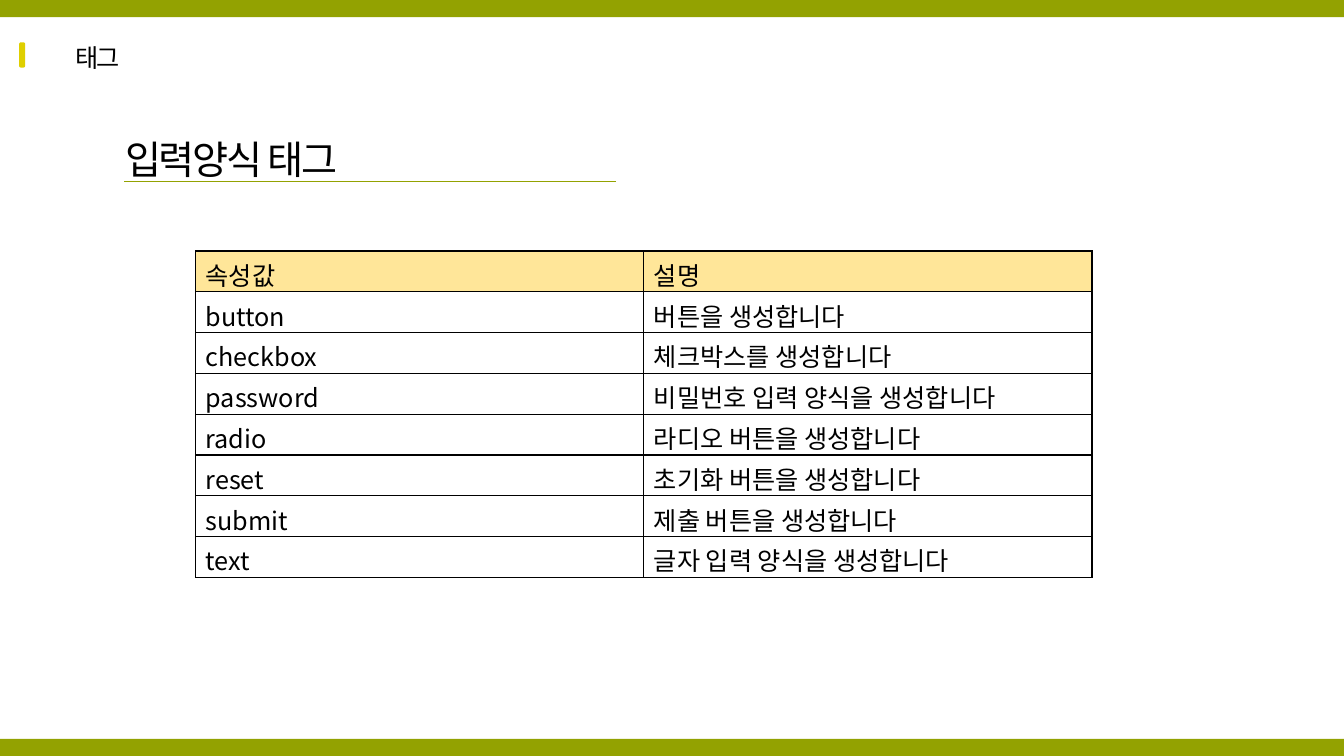
from lxml import etree
from pptx import Presentation
from pptx.dml.color import RGBColor
from pptx.enum.shapes import MSO_CONNECTOR, MSO_SHAPE
from pptx.enum.text import MSO_ANCHOR, MSO_AUTO_SIZE, PP_ALIGN
from pptx.oxml.ns import qn
from pptx.util import Inches, Pt

RECTANGLE, ROUNDED = MSO_SHAPE.RECTANGLE, MSO_SHAPE.ROUNDED_RECTANGLE
STRAIGHT = MSO_CONNECTOR.STRAIGHT
TOP, NO_RESIZE = MSO_ANCHOR.TOP, MSO_AUTO_SIZE.NONE
LEFT, CENTER = PP_ALIGN.LEFT, PP_ALIGN.CENTER
TITLE_ONLY = 5

PAGE_WIDTH, PAGE_HEIGHT, BAR_HEIGHT = 13.33, 7.5, 0.17
OLIVE, YELLOW, CREAM = "93A201", "DFCF00", "FFE699"
WHITE, BLACK = "FFFFFF", "000000"

ATTRIBUTE_ROWS = [
    ("속성값", "설명"),
    ("button", "버튼을 생성합니다"),
    ("checkbox", "체크박스를 생성합니다"),
    ("password", "비밀번호 입력 양식을 생성합니다"),
    ("radio", "라디오 버튼을 생성합니다"),
    ("reset", "초기화 버튼을 생성합니다"),
    ("submit", "제출 버튼을 생성합니다"),
    ("text", "글자 입력 양식을 생성합니다"),
]


def color(hex_string):
    return RGBColor.from_string(hex_string)


def write(frame, text, size=18, font="Noto Sans CJK KR", fill=BLACK,
          align=LEFT, spacing=None):
    para = frame.paragraphs[0]
    para.alignment = align
    span = para.add_run()
    span.text = text
    span.font.size = Pt(size)
    span.font.name = font
    span.font.color.rgb = color(fill)
    properties = span.font._element
    etree.SubElement(properties, qn("a:ea")).set("typeface", font)
    if spacing is not None:
        properties.set("spc", str(round(spacing * 100)))


def add_cell_borders(cell, hex_string, width):
    properties = cell._tc.get_or_add_tcPr()
    for index, side in enumerate(("lnL", "lnR", "lnT", "lnB")):
        border = etree.Element(qn(f"a:{side}"), w=str(Pt(width)))
        fill = etree.SubElement(border, qn("a:solidFill"))
        etree.SubElement(fill, qn("a:srgbClr"), val=hex_string)
        properties.insert(index, border)


class SlideBuilder:
    def __init__(self, deck):
        self.page = deck.slides.add_slide(deck.slide_layouts[TITLE_ONLY])
        self.tracking = -1.5

    def shape(self, kind, left, top, width, height, fill):
        box = self.page.shapes.add_shape(
            kind, Inches(left), Inches(top), Inches(width), Inches(height))
        box.shadow.inherit = False
        box.fill.solid()
        box.fill.fore_color.rgb = color(fill)
        box.line.fill.background()
        return box

    def title(self, text, left, top, width, height):
        box = self.page.shapes.title
        box.left, box.top = Inches(left), Inches(top)
        box.width, box.height = Inches(width), Inches(height)
        frame = box.text_frame
        frame.auto_size, frame.vertical_anchor = NO_RESIZE, TOP
        write(frame, text, size=28, spacing=self.tracking)

    def label(self, text, left, top, width, height):
        box = self.page.shapes.add_textbox(
            Inches(left), Inches(top), Inches(width), Inches(height))
        box.text_frame.word_wrap = True
        write(box.text_frame, text, align=CENTER, spacing=self.tracking)

    def line(self, left, right, top, fill, width):
        rule = self.page.shapes.add_connector(
            STRAIGHT, Inches(left), Inches(top), Inches(right), Inches(top))
        rule.line.color.rgb = color(fill)
        rule.line.width = Pt(width)
        etree.SubElement(rule._element.spPr, qn("a:effectLst"))

    def table(self, rows, left, top, width, row_height):
        table = self.page.shapes.add_table(
            len(rows), len(rows[0]), Inches(left), Inches(top),
            Inches(width), Inches(row_height * len(rows))).table
        for row_index, texts in enumerate(rows):
            for column_index, text in enumerate(texts):
                cell = table.cell(row_index, column_index)
                cell.margin_bottom = 0
                cell.fill.solid()
                cell.fill.fore_color.rgb = color(WHITE if row_index else CREAM)
                add_cell_borders(cell, BLACK, 1)
                write(cell.text_frame, text)


deck = Presentation()
deck.slide_width, deck.slide_height = Inches(PAGE_WIDTH), Inches(PAGE_HEIGHT)
slide = SlideBuilder(deck)

# Bars along the bottom and top edges
for bar_top in (PAGE_HEIGHT - BAR_HEIGHT, 0):
    slide.shape(RECTANGLE, 0, bar_top, PAGE_WIDTH, BAR_HEIGHT, OLIVE)

# Underlined title
slide.title("입력양식 태그", 1.14, 1.29, 3.95, 0.57)
slide.line(6.11, 1.23, 1.8, OLIVE, 0.75)

# Section label with its marker
marker = slide.shape(ROUNDED, 0.19, 0.42, 0.06, 0.25, YELLOW)
marker.adjustments[0] = 0.28
slide.label("태그", 0, 0.37, 1.94, 0.4)

# Attribute table
slide.table(ATTRIBUTE_ROWS, 1.94, 2.49, 8.89, 0.405)

deck.save("out.pptx")
